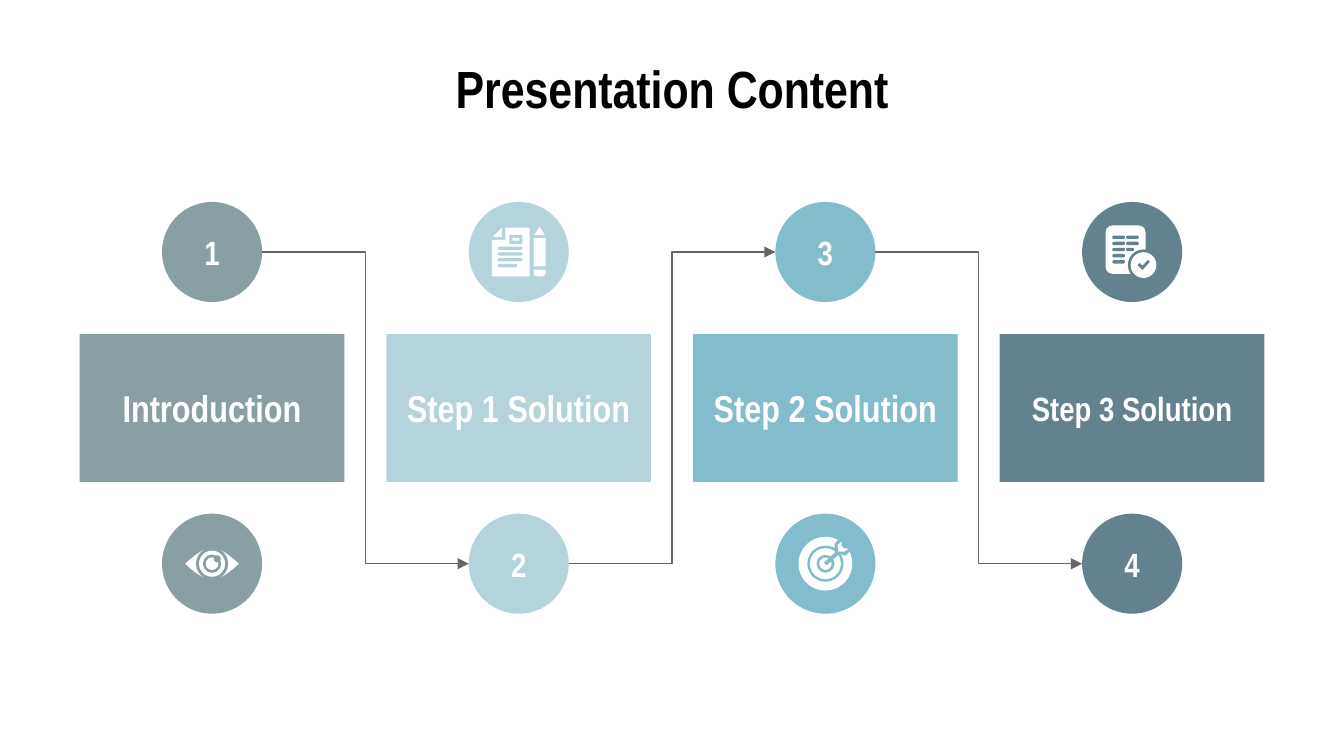
from dataclasses import dataclass
from math import cos, pi

from lxml import etree
from pptx import Presentation
from pptx.dml.color import RGBColor
from pptx.enum import shapes, text
from pptx.oxml import ns
from pptx.util import Pt

PRESET = shapes.MSO_SHAPE


@dataclass(frozen=True)
class Theme:
    font: str = "Arial Narrow"
    ink: str = "000000"
    white: str = "FFFFFF"
    line: str = "666666"
    steps: tuple = ("899FA4", "B4D3DB", "82BCCD", "64818E")
    title_size: int = 28
    label_size: int = 20
    small_size: int = 18
    line_width: float = 0.75


class Painter:
    def __init__(self, page, theme):
        self.page = page
        self.theme = theme

    def paint(self, shape, color):
        shape.shadow.inherit = False
        shape.fill.solid()
        shape.fill.fore_color.rgb = RGBColor.from_string(color)
        shape.line.fill.background()
        return shape

    def shape(self, preset, left, top, width, height, color):
        shape = self.page.shapes.add_shape(preset, Pt(left), Pt(top), Pt(width), Pt(height))
        return self.paint(shape, color)

    def disc(self, x, y, radius, color):
        """Circle around the centre (x, y)."""
        return self.shape(PRESET.OVAL, x - radius, y - radius, 2 * radius, 2 * radius, color)

    def caption(self, shape, words, size, color):
        """Bold centred text inside a shape."""
        frame = shape.text_frame
        frame.word_wrap = True
        frame.vertical_anchor = text.MSO_ANCHOR.MIDDLE
        frame.margin_left = frame.margin_right = Pt(7.2)
        frame.margin_top = frame.margin_bottom = Pt(7.2)
        para = frame.paragraphs[0]
        para.text = words
        para.alignment = text.PP_ALIGN.CENTER
        para.font.name = self.theme.font
        para.font.size = Pt(size)
        para.font.bold = True
        para.font.color.rgb = RGBColor.from_string(color)

    def title(self, words, left, top, width, height):
        box = self.page.shapes.add_textbox(Pt(left), Pt(top), Pt(width), Pt(height))
        self.caption(box, words, self.theme.title_size, self.theme.ink)

    def elbow(self, start, end):
        """Bent arrow from start to end."""
        link = self.page.shapes.add_connector(
            shapes.MSO_CONNECTOR.ELBOW, *(Pt(value) for value in (*start, *end)))
        link.line.color.rgb = RGBColor.from_string(self.theme.line)
        link.line.width = Pt(self.theme.line_width)
        properties = link.element.spPr
        etree.SubElement(properties.find(ns.qn("a:ln")), ns.qn("a:tailEnd"), type="triangle")
        etree.SubElement(properties, ns.qn("a:effectLst"))


class Icon:
    """Draws in points measured from the centre of its circle."""

    def __init__(self, painter, x, y, color):
        self.painter, self.x, self.y = painter, x, y
        self.color = color
        self.white = painter.theme.white

    def disc(self, x, y, radius, color):
        self.painter.disc(self.x + x, self.y + y, radius, color)

    def rings(self, *radii):
        """Concentric discs, coloured and white in turn, ending in white."""
        for index, radius in enumerate(radii):
            even = (len(radii) - index) % 2 == 0
            self.disc(0, 0, radius, self.color if even else self.white)

    def bar(self, x, y, width, height, color, preset=PRESET.RECTANGLE):
        return self.painter.shape(preset, self.x + x, self.y + y, width, height, color)

    def outline(self, color, *points):
        spots = [(Pt(self.x + x), Pt(self.y + y)) for x, y in points]
        builder = self.painter.page.shapes.build_freeform(*spots[0])
        builder.add_line_segments(spots[1:], close=True)
        self.painter.paint(builder.convert_to_shape(), color)

    def text_line(self, x, y, width):
        self.bar(x, y, width, 1.8, self.color, PRESET.ROUNDED_RECTANGLE).adjustments[0] = 0.5


def draw_eye(icon):
    upper = [(x * 1.2, -8.2 * cos(pi * x / 24)) for x in range(-12, 13)]
    lower = [(x, -y) for x, y in reversed(upper[1:-1])]
    icon.outline(icon.white, *upper, *lower)
    icon.rings(8.6, 7, 4.9, 3.4)
    icon.disc(2.8, -2.6, 1.9, icon.color)


def draw_document(icon):
    icon.outline(icon.white, (-7.2, -13), (5.8, -13), (5.8, 13), (-14.4, 13),
                 (-14.4, -6.5), (-7.2, -6.5))
    icon.outline(icon.white, (-9, -13), (-13.9, -8), (-9, -8))
    icon.bar(-5, -9.2, 7, 4.9, icon.color)
    icon.bar(-3.4, -7.5, 3.8, 1.5, icon.white)
    for row, width in enumerate((13.2, 13.2, 13.2, 10.4)):
        icon.text_line(-11.2, -2.9 + 3.1 * row, width)
    icon.outline(icon.white, (8.3, -9), (14, -9), (11.2, -13.5))
    icon.bar(8, -7.4, 6.4, 15.2, icon.white)
    eraser = icon.bar(8, 9.4, 6.4, 3.6, icon.white, PRESET.ROUND_2_SAME_RECTANGLE)
    eraser.adjustments[0], eraser.adjustments[1] = 0, 0.5


def draw_target(icon):
    icon.disc(0, 0, 14.4, icon.white)
    icon.rings(9.7, 8.3, 4.8, 3.3)
    icon.outline(icon.color, (5, -8), (5, -10.8), (7.5, -13.5), (14, -14),
                 (13.5, -7.2), (11, -4.3), (8.3, -5))
    icon.outline(icon.color, (-0.8, -0.6), (0.7, 0.8), (8.3, -5.9), (6.6, -7.4))
    icon.outline(icon.white, (8.6, -11.8), (6.5, -10), (7, -6.5), (10.2, -6.5),
                 (12.4, -8), (9.6, -8.4), (8.8, -9.2))


def draw_checklist(icon):
    sheet = icon.bar(-14.2, -14.2, 21.4, 25.9, icon.white, PRESET.ROUNDED_RECTANGLE)
    sheet.adjustments[0] = 0.17
    for column, widths in ((-10.6, [6.8] * 5), (-3.2, [6.8, 6.8, 4.2])):
        for row, width in enumerate(widths):
            icon.text_line(column, -8.8 + 3.3 * row, width)
    icon.disc(6.1, 7, 8.4, icon.color)
    icon.disc(6.1, 7, 6.9, icon.white)
    icon.outline(icon.color, (2.9, 7), (5.6, 9.6), (9.6, 5.2), (8.5, 4.2),
                 (5.6, 7.3), (4, 5.9))


def main():
    theme = Theme()
    deck = Presentation()
    deck.slide_width, deck.slide_height = Pt(720), Pt(405)
    painter = Painter(deck.slides.add_slide(deck.slide_layouts[6]), theme)
    painter.title("Presentation Content", 36, 32.4, 648, 29.5)

    first_left, pitch, width, radius = 42.7, 164.3, 141.8, 26.8
    rows = (135, 302)
    steps = (
        ("Introduction", theme.label_size, draw_eye),
        ("Step 1 Solution", theme.label_size, draw_document),
        ("Step 2 Solution", theme.label_size, draw_target),
        ("Step 3 Solution", theme.small_size, draw_checklist),
    )
    centres = []
    for index, (label, size, draw_icon) in enumerate(steps):
        left, color = first_left + pitch * index, theme.steps[index]
        middle = left + width / 2
        number_y, icon_y = rows[index % 2], rows[1 - index % 2]
        panel = painter.shape(PRESET.RECTANGLE, left, 179, width, 79.2, color)
        painter.caption(panel, label, size, theme.white)
        number = painter.disc(middle, number_y, radius, color)
        painter.caption(number, str(index + 1), theme.small_size, theme.white)
        painter.disc(middle, icon_y, radius, color)
        draw_icon(Icon(painter, middle, icon_y, color))
        centres.append((middle, number_y))

    for (x, y), (next_x, next_y) in zip(centres, centres[1:]):
        painter.elbow((x + radius, y), (next_x - radius, next_y))
    deck.save("out.pptx")


if __name__ == "__main__":
    main()
